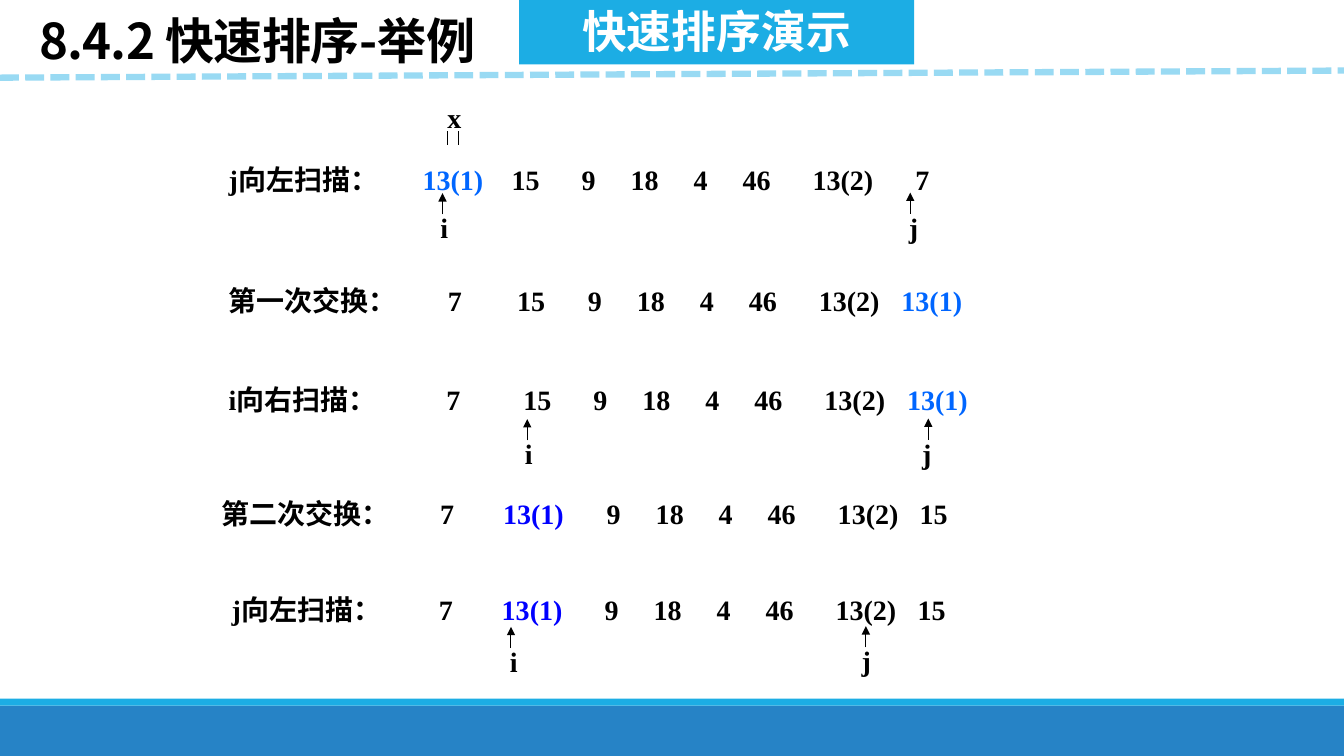
import pptx
import pptx.util
import pptx.dml.color
import pptx.enum.dml
import pptx.enum.lang
import pptx.enum.shapes
import pptx.enum.text
import pptx.oxml
import pptx.oxml.ns

Pt = pptx.util.Pt
BLACK, WHITE, SKY = "000000", "FFFFFF", "1CADE4"
SERIF, SANS = "Times New Roman", "Noto Sans CJK SC"
MIDDLE_OFFSETS = (0, 35, 80, 115, 165)
INSET = 7.2

SCANS = [
    (156.3, 112.3, "j向左扫描：", (302, 365.5, 415.5, 654),
     ["13(1)", "15", "9", "18", "4", "46", "13(2)", "7"], 0, "0066FF"),
    (156.3, 198.7, "第一次交换：", (320, 369.5, 420, 644),
     ["7", "15", "9", "18", "4", "46", "13(2)", "13(1)"], 7, "0066FF"),
    (156.3, 270, "i向右扫描：", (319, 374, 424, 648),
     ["7", "15", "9", "18", "4", "46", "13(2)", "13(1)"], 7, "0066FF"),
    (151.2, 351.4, "第二次交换：", (314.5, 359.5, 433.5, 657),
     ["7", "13(1)", "9", "18", "4", "46", "13(2)", "15"], 1, "0000FF"),
    (158.4, 419.8, "j向左扫描：", (313.5, 358.5, 432, 655.5),
     ["7", "13(1)", "9", "18", "4", "46", "13(2)", "15"], 1, "0000FF"),
]

POINTERS = [
    ("i", 316.1, 138, 307.4), ("j", 650.2, 137.6, 642.2),
    ("i", 376.6, 299.4, 367.9), ("j", 663.1, 299, 651.6),
    ("i", 365, 447.8, 357.1), ("j", 618.5, 447.3, 608.4),
]


def color(value):
    return pptx.dml.color.RGBColor.from_string(value)


def add_element(parent, tag, **attributes):
    element = pptx.oxml.parse_xml(f"<a:{tag} {pptx.oxml.ns.nsdecls('a')}/>")
    for key, value in attributes.items():
        element.set(key, str(value))
    parent.append(element)
    return element


def add_run(paragraph, words, size=20, face=SERIF, ink=BLACK):
    run = paragraph.add_run()
    run.text = words
    run.font.size = Pt(size)
    run.font.bold = True
    run.font.name = face
    run.font.color.rgb = color(ink)
    run.font.language_id = pptx.enum.lang.MSO_LANGUAGE_ID.SIMPLIFIED_CHINESE
    if face == SANS:
        add_element(run.font._element, "ea", typeface=face)
    return run


def add_bar(slide, left, top, width, height, fill):
    bar = slide.shapes.add_shape(
        pptx.enum.shapes.MSO_SHAPE.RECTANGLE, Pt(left), Pt(top), Pt(width), Pt(height))
    bar.shadow.inherit = False
    bar.fill.solid()
    bar.fill.fore_color.rgb = color(fill)
    bar.line.fill.background()
    return bar


def add_line(slide, start, end, ink=BLACK, weight=0.75, arrow=False):
    line = slide.shapes.add_connector(
        pptx.enum.shapes.MSO_CONNECTOR.STRAIGHT, *(Pt(v) for v in start + end))
    line.line.color.rgb = color(ink)
    line.line.width = Pt(weight)
    if arrow:
        add_element(line.line._get_or_add_ln(), "tailEnd", type="triangle")
    add_element(line._element.spPr, "effectLst")
    return line


def add_text(slide, left, top, width):
    box = slide.shapes.add_textbox(Pt(left), Pt(top), Pt(width), Pt(31.5))
    box.text_frame.word_wrap = True
    return box.text_frame.paragraphs[0]


def add_scan(slide, left, top, label, columns, values, pivot, highlight):
    first, second, third, last = columns
    stops = [first, second, *(third + offset for offset in MIDDLE_OFFSETS), last]
    line = add_text(slide, left, top, 550)
    tabs = add_element(line._p.get_or_add_pPr(), "tabLst")
    for stop in stops:
        add_element(tabs, "tab", pos=int(Pt(stop - left - INSET)), algn="l")
    add_run(line, label)
    for index, value in enumerate(values):
        add_run(line, "\t" + value, ink=highlight if index == pivot else BLACK)


def add_pointer(slide, name, x, tip, label_left):
    add_line(slide, (x, tip + 15.2), (x, tip), arrow=True)
    add_run(add_text(slide, label_left, tip + 9, 26), name)


def add_title(slide):
    title = slide.shapes.title
    title.left, title.top, title.width, title.height = Pt(20.9), Pt(10), Pt(448), Pt(43.2)
    frame = title.text_frame
    frame.auto_size = pptx.enum.text.MSO_AUTO_SIZE.NONE
    frame.vertical_anchor = pptx.enum.text.MSO_ANCHOR.MIDDLE
    heading = frame.paragraphs[0]
    heading.alignment = pptx.enum.text.PP_ALIGN.LEFT
    heading.line_spacing = 0.85
    run = add_run(heading, "8.4.2 快速排序-举例", 35.1, SANS)
    run.font._element.set("spc", "-50")


def add_banner(slide):
    banner = add_bar(slide, 370.8, -2, 282.2, 48, SKY)
    frame = banner.text_frame
    frame.word_wrap = False
    frame.vertical_anchor = pptx.enum.text.MSO_ANCHOR.MIDDLE
    frame.paragraphs[0].alignment = pptx.enum.text.PP_ALIGN.CENTER
    add_run(frame.paragraphs[0], "快速排序演示", 32, SANS, WHITE)


def main():
    deck = pptx.Presentation()
    deck.slide_width, deck.slide_height = Pt(960), Pt(540)
    slide = deck.slides.add_slide(deck.slide_layouts[5])
    add_bar(slide, 0, 504, 960, 36, "2683C6")
    add_bar(slide, 0, 499, 960, 5, SKY)
    add_title(slide)
    add_banner(slide)
    divider = add_line(slide, (0, 55.5), (960, 50.4), "99DAF3", 4.5)
    divider.line.dash_style = pptx.enum.dml.MSO_LINE.SQUARE_DOT
    for scan in SCANS:
        add_scan(slide, *scan)
    for pointer in POINTERS:
        add_pointer(slide, *pointer)
    for x in (319.7, 327.6):
        add_line(slide, (x, 93.6), (x, 103.7))
    add_run(add_text(slide, 312.5, 68.4, 26), "x")
    deck.save("out.pptx")


main()
